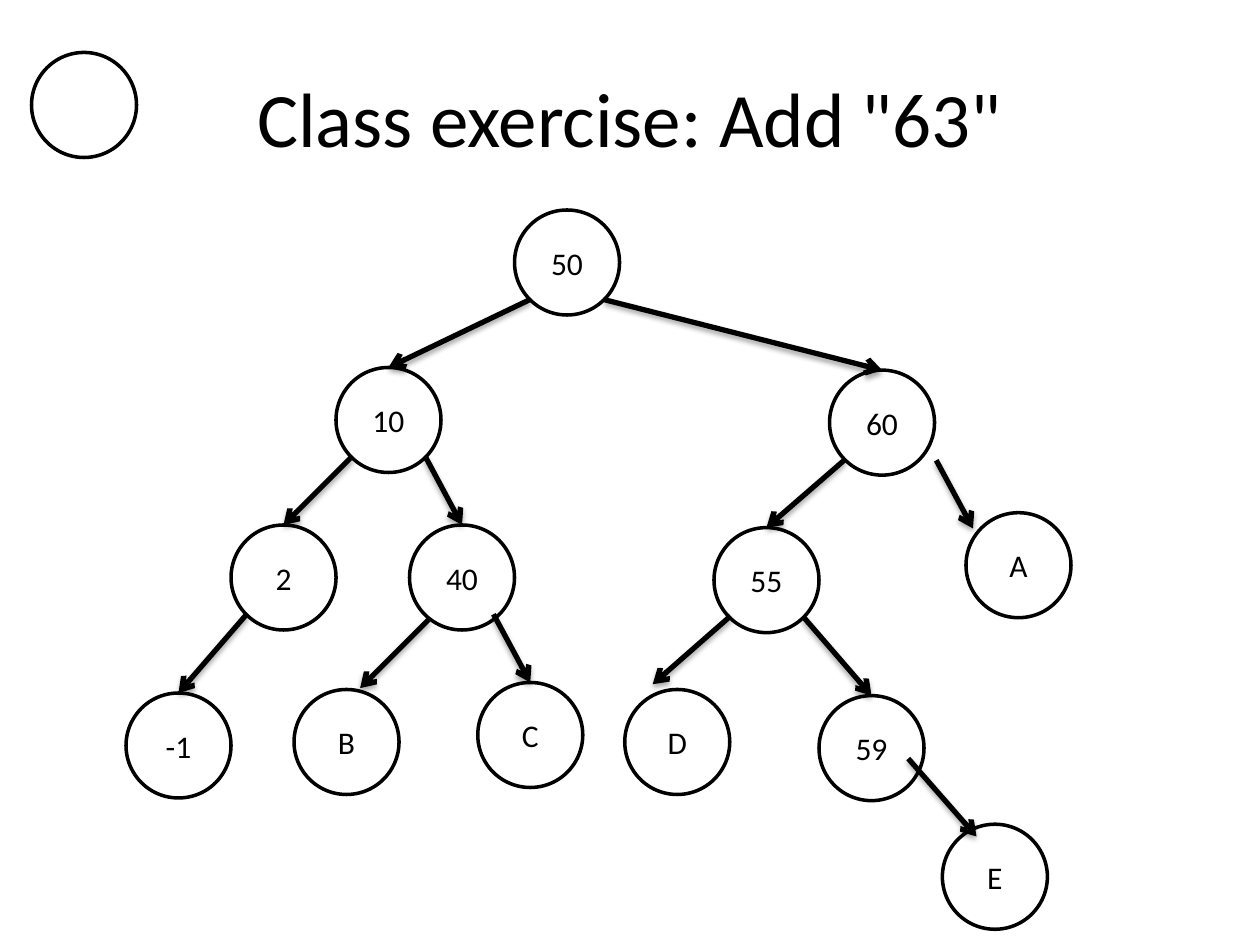
import math
from lxml import etree
from pptx import Presentation
from pptx.dml.color import RGBColor
from pptx.enum import shapes, text
from pptx.oxml import parse_xml
from pptx.oxml.ns import nsdecls, qn
from pptx.util import Pt

TITLE = 'Class exercise: Add "63"'
BLACK, WHITE = "000000", "FFFFFF"
FONT = "Calibri"
SIZE = 60
NODES = [
    ("", 18, 30),
    ("50", 294, 120),
    ("10", 192, 210),
    ("60", 474, 211.5),
    ("55", 408, 301.5),
    ("40", 234, 300),
    ("2", 132, 300),
    ("-1", 72, 396),
    ("59", 468, 397.5),
    ("C", 273, 390),
    ("D", 357, 394),
    ("A", 552, 293),
    ("B", 168, 394),
    ("E", 538.5, 471),
]
EDGES = [
    ("50", "60"), ("50", "10"), ("60", "55"), ("10", "40"),
    ("10", "2"), ("2", "-1"), ("55", "59"),
]
LOOSE_ARROWS = [
    (244.8, 354.2, 205.8, 393.2),
    (282, 351, 303, 390),
    (417.5, 352, 373, 391),
    (535, 263, 556, 302),
    (519, 433.5, 558, 478),
]
SHADOW = (
    f'<a:effectLst {nsdecls("a")}><a:outerShdw blurRad="{Pt(3.1)}" dist="{Pt(1.8)}" '
    f'dir="5400000" rotWithShape="0"><a:srgbClr val="{BLACK}"><a:alpha val="35000"/>'
    '</a:srgbClr></a:outerShdw></a:effectLst>'
)


def color(value):
    return RGBColor.from_string(value)


def write(s, words, size):
    tf = s.text_frame
    tf.word_wrap = True
    tf.vertical_anchor = text.MSO_ANCHOR.MIDDLE
    p = tf.paragraphs[0]
    p.text = words
    p.alignment = text.PP_ALIGN.CENTER
    p.font.name, p.font.size = FONT, Pt(size)
    p.font.color.rgb = color(BLACK)


def add_node(slide, label, x, y):
    s = slide.shapes.add_shape(shapes.MSO_SHAPE.OVAL, Pt(x), Pt(y), Pt(SIZE), Pt(SIZE))
    s.shadow.inherit = False
    s.fill.solid()
    s.fill.fore_color.rgb = color(WHITE)
    s.line.color.rgb = color(BLACK)
    s.line.width = Pt(2)
    if label:
        write(s, label, 18)
    return s


def add_arrow(slide, x1, y1, x2, y2):
    s = slide.shapes.add_connector(
        shapes.MSO_CONNECTOR.STRAIGHT, Pt(x1), Pt(y1), Pt(x2), Pt(y2))
    s.line.color.rgb = color(BLACK)
    s.line.width = Pt(3)
    ln = s.line._get_or_add_ln()
    etree.SubElement(ln, qn("a:tailEnd"), type="arrow")
    ln.addnext(parse_xml(SHADOW))
    return s


def main():
    prs = Presentation()
    prs.slide_width, prs.slide_height = Pt(720), Pt(540)
    slide = prs.slides.add_slide(prs.slide_layouts[6])
    title = slide.shapes.add_textbox(Pt(36), Pt(21.6), Pt(648), Pt(90))
    write(title, TITLE, 44)

    nodes = {label: add_node(slide, label, x, y) for label, x, y in NODES}
    places = {label: (x, y) for label, x, y in NODES}
    r = SIZE / 2
    diagonal = r * math.sqrt(0.5)
    for parent, child in EDGES:
        (px, py), (cx, cy) = places[parent], places[child]
        side = math.copysign(diagonal, cx - px)
        s = add_arrow(slide, px + r + side, py + r + diagonal, cx + r, cy)
        s.end_connect(nodes[child], 0)
    for ends in LOOSE_ARROWS:
        add_arrow(slide, *ends)
    prs.save("out.pptx")


if __name__ == "__main__":
    main()
